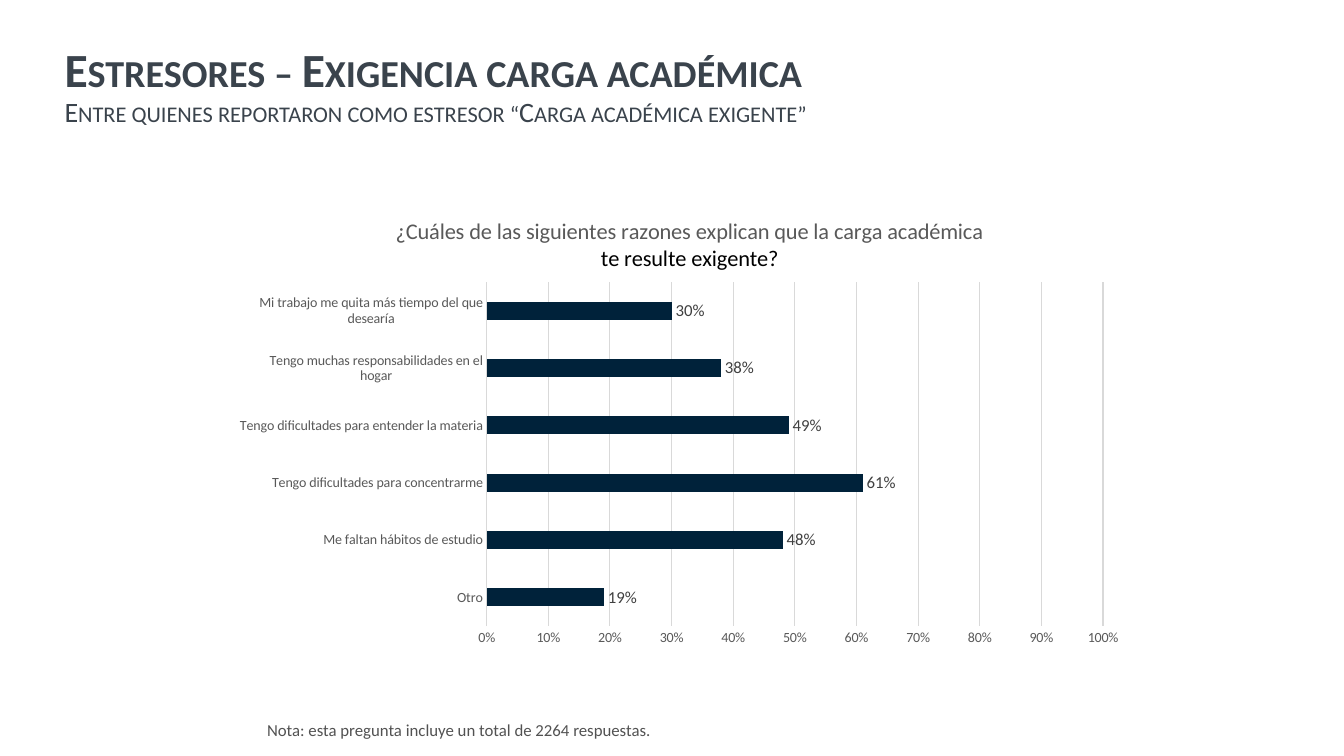
from lxml import etree
from pptx import Presentation
from pptx.chart.data import CategoryChartData
from pptx.dml.color import RGBColor
from pptx.enum.chart import XL_CHART_TYPE, XL_LABEL_POSITION, XL_TICK_MARK
from pptx.enum.text import MSO_ANCHOR, MSO_AUTO_SIZE, PP_ALIGN
from pptx.oxml.ns import qn
from pptx.util import Emu, Pt

PX = 9144  # 100 px to the inch
FACE = "Calibri"
HUES = {
    "title": "3A434C",
    "bar": "00223A",
    "grid": "D9D9D9",
    "axis": "595959",
    "label": "404040",
    "note": "525252",
    "black": "000000",
}
REASONS = [
    ("Otro", 0.19),
    ("Me faltan hábitos de estudio", 0.48),
    ("Tengo dificultades para concentrarme", 0.61),
    ("Tengo dificultades para entender la materia", 0.49),
    ("Tengo muchas responsabilidades en el hogar", 0.38),
    ("Mi trabajo me quita más tiempo del que desearía", 0.30),
]
ASK = [
    ("¿Cuáles de las siguientes razones explican que la carga académica", "axis"),
    ("te resulte exigente?", "black"),
]


class Page:
    def __init__(self, deck):
        self.slide = deck.slides.add_slide(deck.slide_layouts[5])

    def box(self, *spots):
        return [Emu(n * PX) for n in spots]

    def hue(self, name):
        return RGBColor.from_string(HUES[name])

    def style(self, font, size, hue, bold=False):
        font.name = FACE
        font.size = Pt(size)
        font.bold = bold
        font.color.rgb = self.hue(hue)

    def title(self, spot, head, sub):
        shape = self.slide.shapes.title
        shape.left, shape.top, shape.width, shape.height = self.box(*spot)
        frame = shape.text_frame
        frame.text = head + "\v" + sub
        frame.word_wrap = True
        frame.auto_size = MSO_AUTO_SIZE.NONE
        frame.vertical_anchor = MSO_ANCHOR.MIDDLE
        para = frame.paragraphs[0]
        para.alignment = PP_ALIGN.LEFT
        para.line_spacing = 0.9
        for run, size, bold in zip(para.runs, (34, 20), (True, False)):
            self.style(run.font, size, "title", bold)
            run._r.get_or_add_rPr().set("cap", "small")

    def text(self, spot, words, size, hue):
        frame = self.slide.shapes.add_textbox(*self.box(*spot)).text_frame
        frame.text = words
        frame.word_wrap = True
        self.style(frame.paragraphs[0].runs[0].font, size, hue)

    def place(self, part, index, **spots):
        """Fix a chart part at fractions of the chart area."""
        for old in part.findall(qn("c:layout")):
            part.remove(old)
        layout = etree.Element(qn("c:layout"))
        manual = etree.SubElement(layout, qn("c:manualLayout"))
        if "w" in spots:
            etree.SubElement(manual, qn("c:layoutTarget")).set("val", "inner")
        for side in "xy":
            etree.SubElement(manual, qn(f"c:{side}Mode")).set("val", "edge")
        for key, value in spots.items():
            etree.SubElement(manual, qn(f"c:{key}")).set("val", str(value))
        part.insert(index, layout)

    def axis(self, axis):
        axis.major_tick_mark = axis.minor_tick_mark = XL_TICK_MARK.NONE
        self.style(axis.tick_labels.font, 10, "axis")

    def rule(self, line):
        line.color.rgb = self.hue("grid")
        line.width = Pt(0.75)

    def bars(self, spot, rows, lines):
        data = CategoryChartData(number_format="0%")
        data.categories = [name for name, _ in rows]
        data.add_series("Series 1", [value for _, value in rows])
        chart = self.slide.shapes.add_chart(
            XL_CHART_TYPE.BAR_CLUSTERED, *self.box(*spot), data).chart
        chart.has_legend = False
        self.style(chart.font, 10, "black")

        # Chart title
        chart.has_title = True
        frame = chart.chart_title.text_frame
        frame.text = "\n".join(words for words, _ in lines)
        for para, (_, hue) in zip(frame.paragraphs, lines):
            para.alignment = PP_ALIGN.CENTER
            self.style(para.runs[0].font, 16, hue)
        chart.chart_title.include_in_layout = False
        self.place(chart.chart_title._element, 1, x=0.17, y=0.04)

        # Axes
        self.axis(chart.category_axis)
        self.rule(chart.category_axis.format.line)
        scale = chart.value_axis
        self.axis(scale)
        scale.minimum_scale, scale.maximum_scale = 0, 1
        scale.major_unit = 0.1
        scale.tick_labels.number_format = "0%"
        scale.tick_labels.number_format_is_linked = False
        scale.format.line.fill.background()
        self.rule(scale.major_gridlines.format.line)

        # Bars and their values
        plot = chart.plots[0]
        plot.gap_width = 219
        plot.vary_by_categories = False
        fill = plot.series[0].format.fill
        fill.solid()
        fill.fore_color.rgb = self.hue("bar")
        plot.has_data_labels = True
        tags = plot.data_labels
        tags.show_value = True
        tags.number_format = "0%"
        tags.number_format_is_linked = False
        tags.position = XL_LABEL_POSITION.OUTSIDE_END
        self.style(tags.font, 12, "label")
        area = chart._chartSpace.chart.plotArea
        self.place(area, 0, x=0.275, y=0.19, w=0.688, h=0.745)


def main():
    deck = Presentation()
    deck.slide_width, deck.slide_height = Emu(1333 * PX), Emu(750 * PX)
    page = Page(deck)
    page.title((54, 40, 1273, 94), "Estresores – Exigencia carga académica",
               "Entre quienes reportaron como estresor “Carga académica exigente”")
    page.bars((238, 193, 889, 458), REASONS, ASK)
    page.text((255, 709, 738, 30),
              "Nota: esta pregunta incluye un total de 2264 respuestas.", 12, "note")
    deck.save("out.pptx")


if __name__ == "__main__":
    main()
